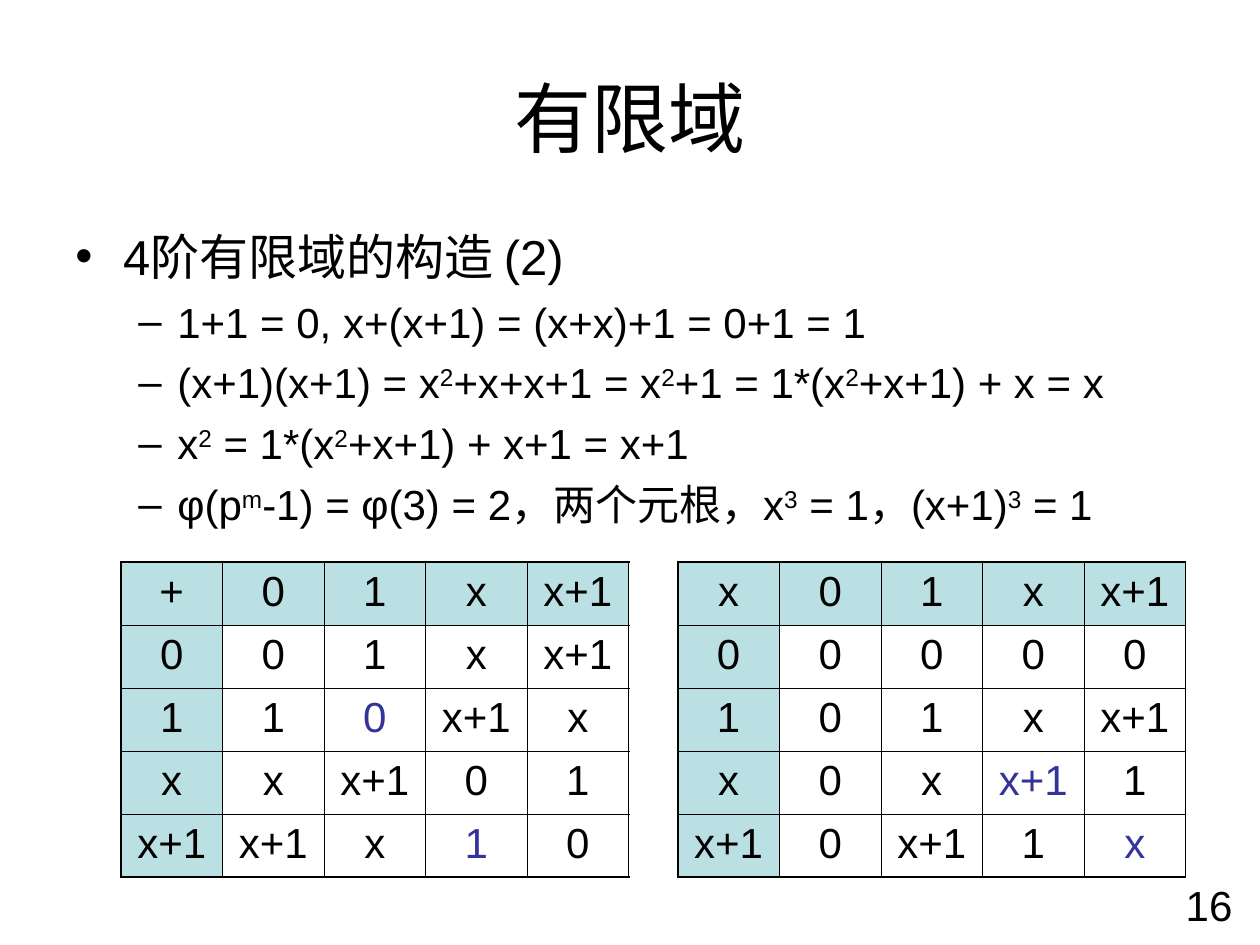
"""Build the slide on the finite field of order 4 with its two operation tables."""
from lxml.etree import SubElement
from pptx import Presentation
from pptx.dml.color import RGBColor
from pptx.enum.text import MSO_ANCHOR as Anchor, PP_ALIGN as Align
from pptx.oxml.ns import qn
from pptx.util import Inches, Pt

BLACK = RGBColor(0x00, 0x00, 0x00)
WHITE = RGBColor(0xFF, 0xFF, 0xFF)
TEAL = RGBColor(0xBB, 0xE0, 0xE3)
INDIGO = RGBColor(0x33, 0x33, 0x99)


def write(paragraph, text, size=24, color=BLACK, align=Align.LEFT, before=0, bullet=None, left=0, hanging=0):
    """Write text in which ^ raises the next character."""
    paragraph.alignment = align
    paragraph.space_before = Pt(before)
    if bullet:
        props = paragraph._p.get_or_add_pPr()
        props.set("marL", str(Inches(left)))
        props.set("indent", str(-Inches(hanging)))
        SubElement(props, qn("a:buFont"), typeface="Arial")
        SubElement(props, qn("a:buChar"), char=bullet)
    first, *raised = text.split("^")
    pieces = [(first, False)]
    for part in raised:
        pieces += [(part[0], True), (part[1:], False)]
    for piece, is_raised in pieces:
        run = paragraph.add_run()
        run.text = piece
        run.font.name = "Arial"
        run.font.size = Pt(size)
        run.font.color.rgb = color
        if is_raised:
            run.font._element.set("baseline", "30000")


def add_frame(left, top, width, height, anchor=Anchor.TOP):
    box = slide.shapes.add_textbox(Inches(left), Inches(top), Inches(width), Inches(height))
    box.text_frame.word_wrap = True
    box.text_frame.vertical_anchor = anchor
    return box.text_frame


prs = Presentation()
prs.slide_width, prs.slide_height = Inches(10), Inches(7.5)
slide = prs.slides.add_slide(prs.slide_layouts[6])

title = add_frame(0.5, 0.3, 9, 1.25, Anchor.MIDDLE)
write(title.paragraphs[0], "有限域", size=44, align=Align.CENTER)

body = add_frame(0.5, 1.75, 9, 2.87)
write(body.paragraphs[0], "4阶有限域的构造 (2)", size=28, before=7, bullet="•", left=0.38, hanging=0.38)
derivations = [
    "1+1 = 0, x+(x+1) = (x+x)+1 = 0+1 = 1",
    "(x+1)(x+1) = x^2+x+x+1 = x^2+1 = 1*(x^2+x+1) + x = x",
    "x^2 = 1*(x^2+x+1) + x+1 = x+1",
    "φ(p^m-1) = φ(3) = 2，两个元根，x^3 = 1，(x+1)^3 = 1",
]
for derivation in derivations:
    line = body.add_paragraph()
    line.level = 1
    write(line, derivation, before=6, bullet="–", left=0.81, hanging=0.31)

elements = ["0", "1", "x", "x+1"]
sums = ["0 1 x x+1", "1 0 x+1 x", "x x+1 0 1", "x+1 x 1 0"]
products = ["0 0 0 0", "0 1 x x+1", "0 x x+1 1", "0 x+1 1 x"]
operations = [
    (0.96, "+", sums, {(2, 2), (4, 3)}),
    (5.38, "x", products, {(3, 3), (4, 4)}),
]
for left, sign, results, highlights in operations:
    rows = [[sign, *elements]] + [[e, *r.split()] for e, r in zip(elements, results)]
    last = len(elements)
    table = slide.shapes.add_table(
        last + 1, last + 1, Inches(left), Inches(4.46), Inches(4.03), Inches(2.49)
    ).table
    table.horz_banding = False
    for r, row in enumerate(rows):
        for c, value in enumerate(row):
            cell = table.cell(r, c)
            color = INDIGO if (r, c) in highlights else BLACK
            write(cell.text_frame.paragraphs[0], value, color=color, align=Align.CENTER, before=6)
            props = cell._tc.get_or_add_tcPr()
            edges = {"a:lnL": c == 0, "a:lnR": c == last, "a:lnT": r == 0, "a:lnB": r == last}
            for edge, is_outer in edges.items():
                border = SubElement(props, qn(edge), w=str(Pt(1.08 if is_outer else 0.45)))
                fill = SubElement(border, qn("a:solidFill"))
                SubElement(fill, qn("a:srgbClr"), val=str(BLACK))
            cell.fill.solid()
            cell.fill.fore_color.rgb = TEAL if r == 0 or c == 0 else WHITE

page_number = add_frame(7.55, 6.93, 2.33, 0.52)
write(page_number.paragraphs[0], "16", align=Align.RIGHT)

prs.save("out.pptx")
